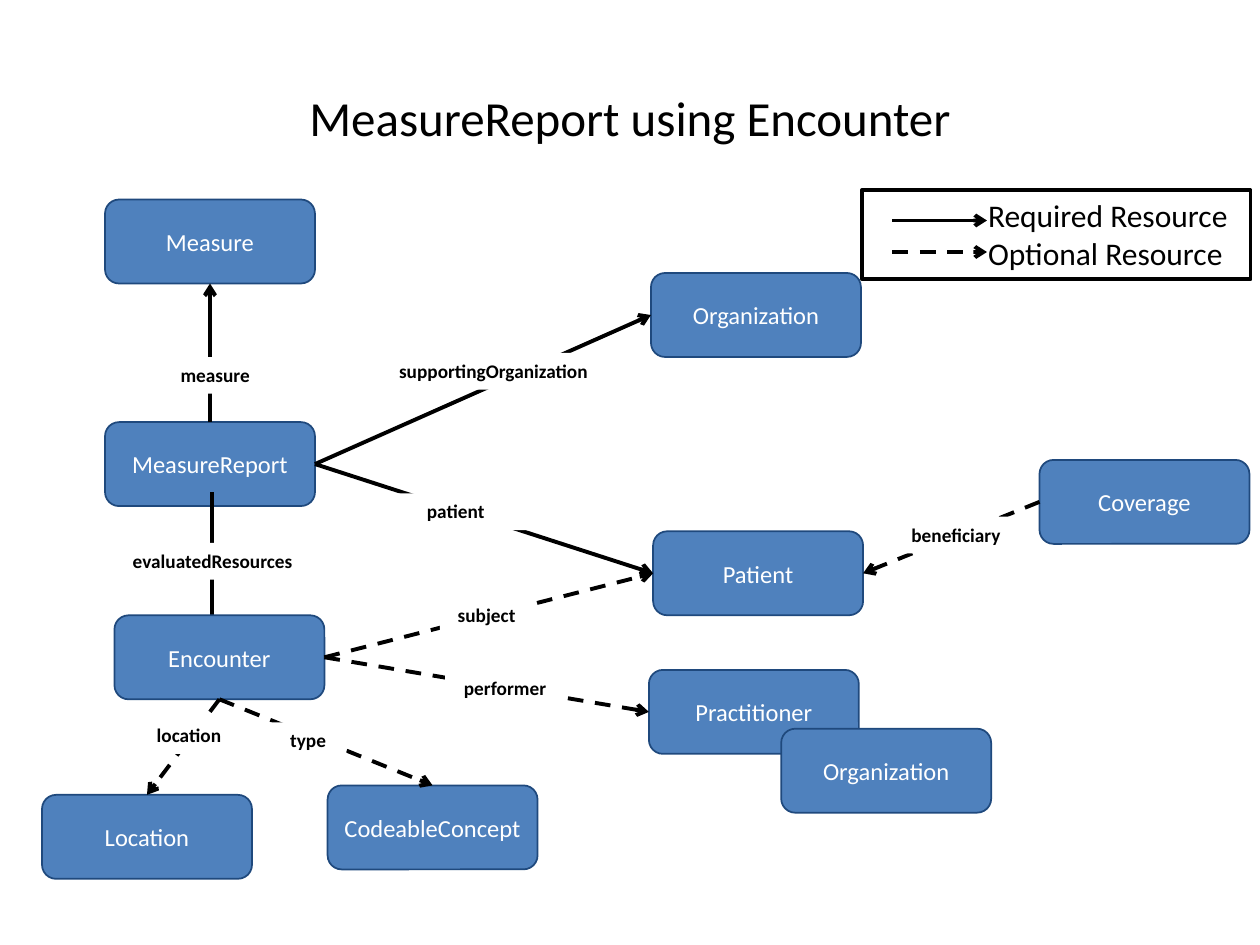
from lxml import etree
from pptx import Presentation, util as u
from pptx.dml.color import RGBColor
from pptx.enum import dml, shapes, text
from pptx.oxml.ns import qn

BLUE = RGBColor(0x4F, 0x81, 0xBD)
NAVY = RGBColor(0x1F, 0x49, 0x7D)
BLACK = RGBColor(0, 0, 0)
WHITE = RGBColor(255, 255, 255)

prs = Presentation()
prs.slide_width, prs.slide_height = u.Inches(10), u.Inches(7.5)
COL, ROW = prs.slide_width / 120, prs.slide_height / 90
BOX_W, BOX_H, LABEL_H = 20, 8, 3.5
TOP, LEFT, BOTTOM, RIGHT = range(4)
s = prs.slides.add_slide(prs.slide_layouts[5])


def write(sp, lines, size, color, bold=False, align=text.PP_ALIGN.CENTER,
          anchor=text.MSO_ANCHOR.MIDDLE):
    tf = sp.text_frame
    tf.word_wrap, tf.vertical_anchor = True, anchor
    tf.text = "\n".join(lines)
    for p in tf.paragraphs:
        p.alignment = align
        font = p.runs[0].font
        fmt = {"name": "Calibri", "size": u.Pt(size), "bold": bold}
        for key, value in fmt.items():
            setattr(font, key, value)
        font.color.rgb = color


def arrow(x1, y1, x2, y2, dashed=False):
    c = s.shapes.add_connector(shapes.MSO_CONNECTOR.STRAIGHT, int(x1 * COL),
                               int(y1 * ROW), int(x2 * COL), int(y2 * ROW))
    c.line.color.rgb, c.line.width = BLACK, u.Pt(2.25)
    if dashed:
        c.line.dash_style = dml.MSO_LINE.DASH
    etree.SubElement(c.line._get_or_add_ln(), qn("a:tailEnd"), type="arrow")
    etree.SubElement(c._element.spPr, qn("a:effectLst"))
    return c


# Title
title = s.shapes.title
title.left, title.top = int(6 * COL), int(3.6 * ROW)
title.width, title.height = int(108 * COL), int(15 * ROW)
write(title, ["MeasureReport using Encounter"], 28, BLACK)

# Resource boxes: key, name, column, row
boxes = {}
for key, name, x, y in [
    ("report", "MeasureReport", 10, 40.2),
    ("measure", "Measure", 10, 19),
    ("support", "Organization", 62, 26),
    ("patient", "Patient", 62.2, 50.6),
    ("encounter", "Encounter", 10.9, 58.6),
    ("location", "Location", 4, 75.7),
    ("coverage", "Coverage", 99, 43.8),
    ("concept", "CodeableConcept", 31.2, 74.8),
    ("practitioner", "Practitioner", 61.8, 63.8),
    ("performer", "Organization", 74.4, 69.4),
]:
    if key == "encounter":  # this arrow ends behind the Encounter box
        arrow(20.2, 46.9, 20.2, 60)
    sp = s.shapes.add_shape(shapes.MSO_SHAPE.FLOWCHART_ALTERNATE_PROCESS,
                            int(x * COL), int(y * ROW),
                            int(BOX_W * COL), int(BOX_H * ROW))
    sp.shadow.inherit = False
    sp.fill.solid()
    sp.fill.fore_color.rgb = BLUE
    sp.line.color.rgb, sp.line.width = NAVY, u.Pt(1)
    write(sp, [name], 14, WHITE)
    boxes[key] = sp

# References between boxes: start, side, end, side, optional
for start, side1, end, side2, optional in [
    ("report", TOP, "measure", BOTTOM, False),
    ("report", RIGHT, "support", LEFT, False),
    ("report", RIGHT, "patient", LEFT, False),
    ("encounter", BOTTOM, "location", TOP, True),
    ("encounter", BOTTOM, "concept", TOP, True),
    ("encounter", RIGHT, "practitioner", LEFT, True),
    ("encounter", RIGHT, "patient", LEFT, True),
    ("coverage", LEFT, "patient", RIGHT, True),
]:
    c = arrow(0, 0, 0, 0, optional)
    c.begin_connect(boxes[start], side1)
    c.end_connect(boxes[end], side2)

# Reference labels: name, column, row, width
for name, x, y, w in [
    ("measure", 13, 34, 15),
    ("supportingOrganization", 36, 33.6, 22),
    ("evaluatedResources", 9.5, 51.7, 21.5),
    ("patient", 35.9, 47, 15),
    ("beneficiary", 85.1, 49.2, 11.9),
    ("performer", 42.4, 63.8, 11.4),
    ("location", 12.8, 68.3, 10.4),
    ("type", 25.7, 68.8, 7.3),
    ("subject", 41.9, 56.9, 8.9),
]:
    sp = s.shapes.add_textbox(int(x * COL), int(y * ROW),
                              int(w * COL), int(LABEL_H * ROW))
    sp.fill.solid()
    sp.fill.fore_color.rgb = WHITE
    write(sp, [name], 11, BLACK, bold=True, anchor=text.MSO_ANCHOR.TOP)

# Legend
legend = s.shapes.add_textbox(int(82.1 * COL), int(18.1 * ROW),
                              int(37 * COL), int(8.5 * ROW))
legend.line.color.rgb, legend.line.width = BLACK, u.Pt(2.25)
legend.text_frame.margin_left = int(12 * COL)
write(legend, ["Required Resource", "Optional Resource"], 18, BLACK,
      align=text.PP_ALIGN.LEFT, anchor=text.MSO_ANCHOR.TOP)
for y, optional in [(21, False), (24, True)]:
    arrow(85, y, 94, y, optional)

prs.save("out.pptx")
